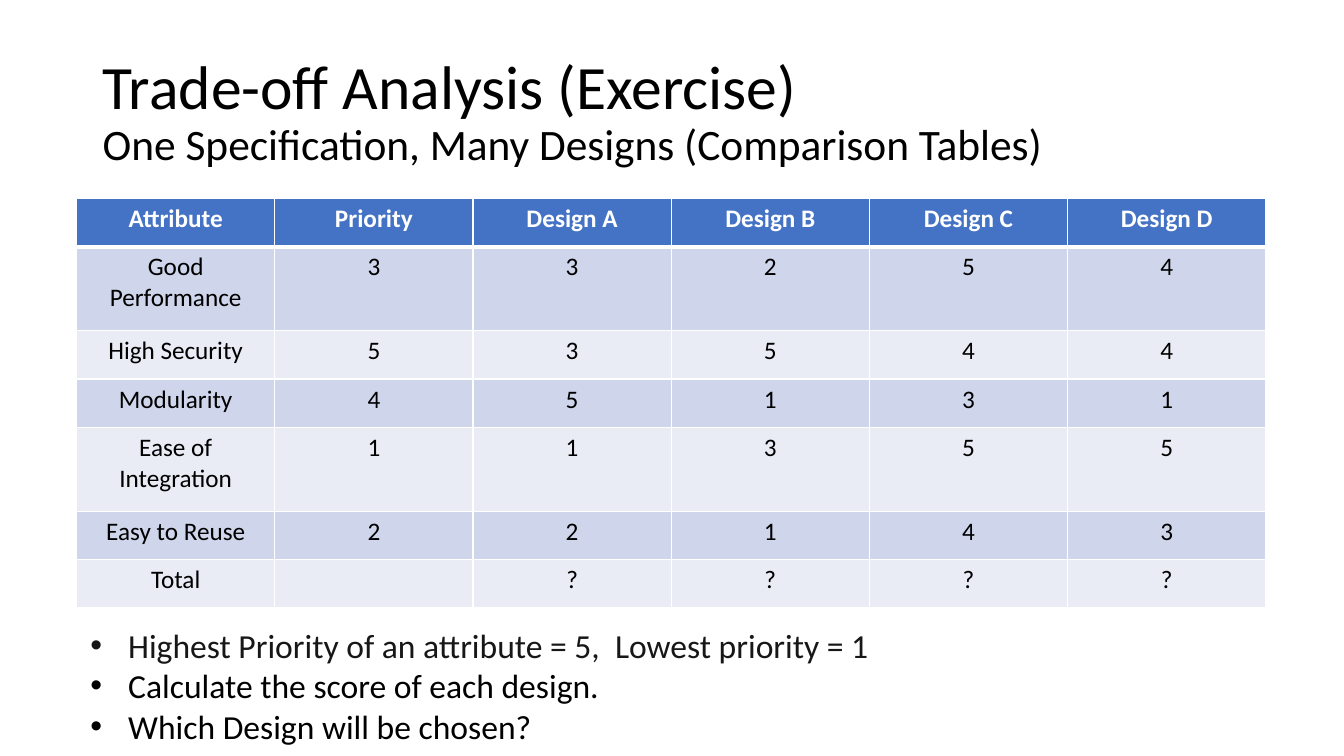
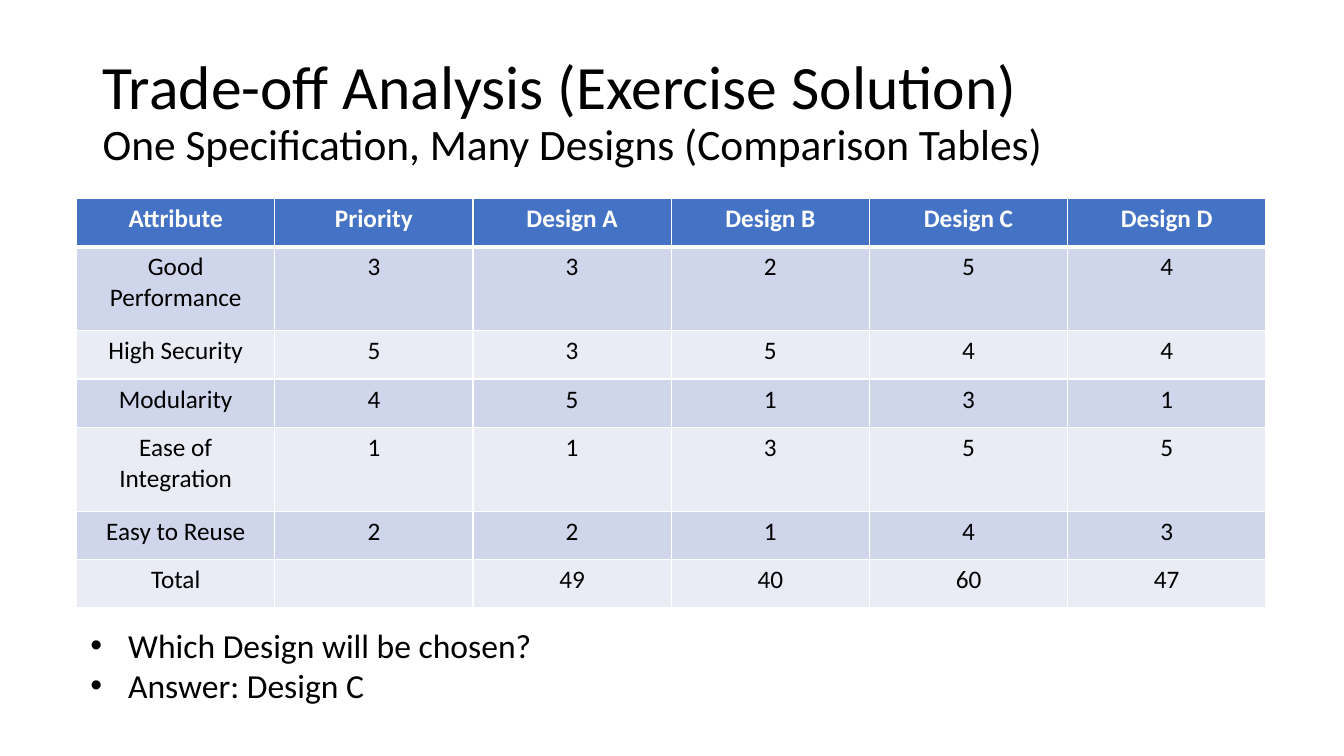
"""Build two trade-off analysis slides: an exercise and its solution."""
from lxml import etree
from pptx import Presentation
from pptx.dml.color import RGBColor
from pptx.enum.text import MSO_ANCHOR, PP_ALIGN
from pptx.oxml.ns import qn
from pptx.util import Cm, Pt

CENTER = PP_ALIGN.CENTER
MIDDLE = MSO_ANCHOR.MIDDLE
FONT = "Calibri"
COLORS = {
    "text": "000000",
    "soft_text": "181717",
    "white": "FFFFFF",
    "header": "4472C4",
    "odd_row": "CFD5EA",
    "even_row": "E9EBF5",
}

SUBTITLE = "One Specification, Many Designs (Comparison Tables)"
HEADER = ["Attribute", "Priority", "Design A", "Design B", "Design C", "Design D"]
RATINGS = [
    ("Good Performance", 3, [3, 2, 5, 4]),
    ("High Security", 5, [3, 5, 4, 4]),
    ("Modularity", 4, [5, 1, 3, 1]),
    ("Ease of Integration", 1, [1, 3, 5, 5]),
    ("Easy to Reuse", 2, [2, 1, 4, 3]),
]
DESIGN_COUNT = len(HEADER) - 2
TOTALS = [
    sum(priority * scores[design] for _, priority, scores in RATINGS)
    for design in range(DESIGN_COUNT)
]
SLIDES = [
    {
        "title": "Trade-off Analysis (Exercise)",
        "totals": ["?"] * DESIGN_COUNT,
        "bullets": [
            ("Highest Priority of an attribute = 5,  Lowest priority = 1", "soft_text"),
            ("Calculate the score of each design.", "text"),
            ("Which Design will be chosen?", "text"),
        ],
    },
    {
        "title": "Trade-off Analysis (Exercise Solution)",
        "totals": TOTALS,
        "bullets": [
            ("Which Design will be chosen?", "text"),
            ("Answer: Design C", "text"),
        ],
    },
]

SLIDE_SIZE = (Cm(33.87), Cm(19.05))
TITLE_BOX = (Cm(2.34), Cm(1.02), Cm(29.21), Cm(3.68))
TABLE_LEFT, TABLE_TOP, TABLE_WIDTH = Cm(1.93), Cm(5), Cm(29.97)
ROW_HEIGHT, TALL_ROW_HEIGHT = Cm(1.22), Cm(2.11)
TALL_ROWS = {"Good Performance", "Ease of Integration"}
BULLET_LEFT, BULLET_TOP, BULLET_WIDTH = Cm(2.03), Cm(15.62), Cm(29.51)
BULLET_LINE, BULLET_PADDING = Cm(1.02), Cm(0.25)
BULLET_INDENT = Cm(0.95)


def rgb(name):
    return RGBColor.from_string(COLORS[name])


def style_font(font, size, color, bold=False):
    font.name = FONT
    font.size = Pt(size)
    font.bold = bold
    font.color.rgb = rgb(color)


def add_text_box(slide, box):
    text_frame = slide.shapes.add_textbox(*box).text_frame
    text_frame.word_wrap = True
    return text_frame


def add_title(slide, title):
    text_frame = add_text_box(slide, TITLE_BOX)
    text_frame.vertical_anchor = MIDDLE
    paragraph = text_frame.paragraphs[0]
    paragraph.text = f"{title}\v{SUBTITLE}"
    paragraph.line_spacing = 0.9
    for run, size in zip(paragraph.runs, (44, 31)):
        style_font(run.font, size, "text")


def set_borders(cell, widths):
    properties = cell._tc.get_or_add_tcPr()
    for side, width in widths.items():
        line = etree.SubElement(properties, qn(f"a:ln{side}"), w=str(Pt(width)))
        fill = etree.SubElement(line, qn("a:solidFill"))
        etree.SubElement(fill, qn("a:srgbClr"), val=COLORS["white"])


def style_cell(cell, row_index):
    is_header = row_index == 0
    set_borders(cell, {
        "L": 1,
        "R": 1,
        "T": 3 if row_index == 1 else 1,
        "B": 3 if is_header else 1,
    })
    cell.fill.solid()
    band = "odd_row" if row_index % 2 else "even_row"
    cell.fill.fore_color.rgb = rgb("header" if is_header else band)
    paragraph = cell.text_frame.paragraphs[0]
    paragraph.alignment = CENTER
    for run in paragraph.runs:
        style_font(run.font, 18, "white" if is_header else "text", is_header)


def add_comparison_table(slide, totals):
    rows = [HEADER]
    rows += [[attribute, priority, *scores] for attribute, priority, scores in RATINGS]
    rows.append(["Total", "", *totals])
    heights = [TALL_ROW_HEIGHT if row[0] in TALL_ROWS else ROW_HEIGHT for row in rows]
    table = slide.shapes.add_table(
        len(rows), len(HEADER), TABLE_LEFT, TABLE_TOP, TABLE_WIDTH, sum(heights)
    ).table
    for row_index, (values, height) in enumerate(zip(rows, heights)):
        table.rows[row_index].height = height
        for column_index, value in enumerate(values):
            cell = table.cell(row_index, column_index)
            cell.text = str(value)
            style_cell(cell, row_index)


def add_bullets(slide, bullets):
    height = BULLET_LINE * len(bullets) + BULLET_PADDING
    text_frame = add_text_box(slide, (BULLET_LEFT, BULLET_TOP, BULLET_WIDTH, height))
    text_frame.text = "\n".join(text for text, _ in bullets)
    for paragraph, (_, color) in zip(text_frame.paragraphs, bullets):
        style_font(paragraph.runs[0].font, 24, color)
        properties = paragraph._p.get_or_add_pPr()
        properties.set("marL", str(BULLET_INDENT))
        properties.set("indent", str(-BULLET_INDENT))
        etree.SubElement(properties, qn("a:buFont"), typeface="Arial")
        etree.SubElement(properties, qn("a:buChar"), char="•")


def main():
    presentation = Presentation()
    presentation.slide_width, presentation.slide_height = SLIDE_SIZE
    blank_layout = presentation.slide_layouts[6]
    for content in SLIDES:
        slide = presentation.slides.add_slide(blank_layout)
        add_title(slide, content["title"])
        add_comparison_table(slide, content["totals"])
        add_bullets(slide, content["bullets"])
    presentation.save("out.pptx")


if __name__ == "__main__":
    main()
